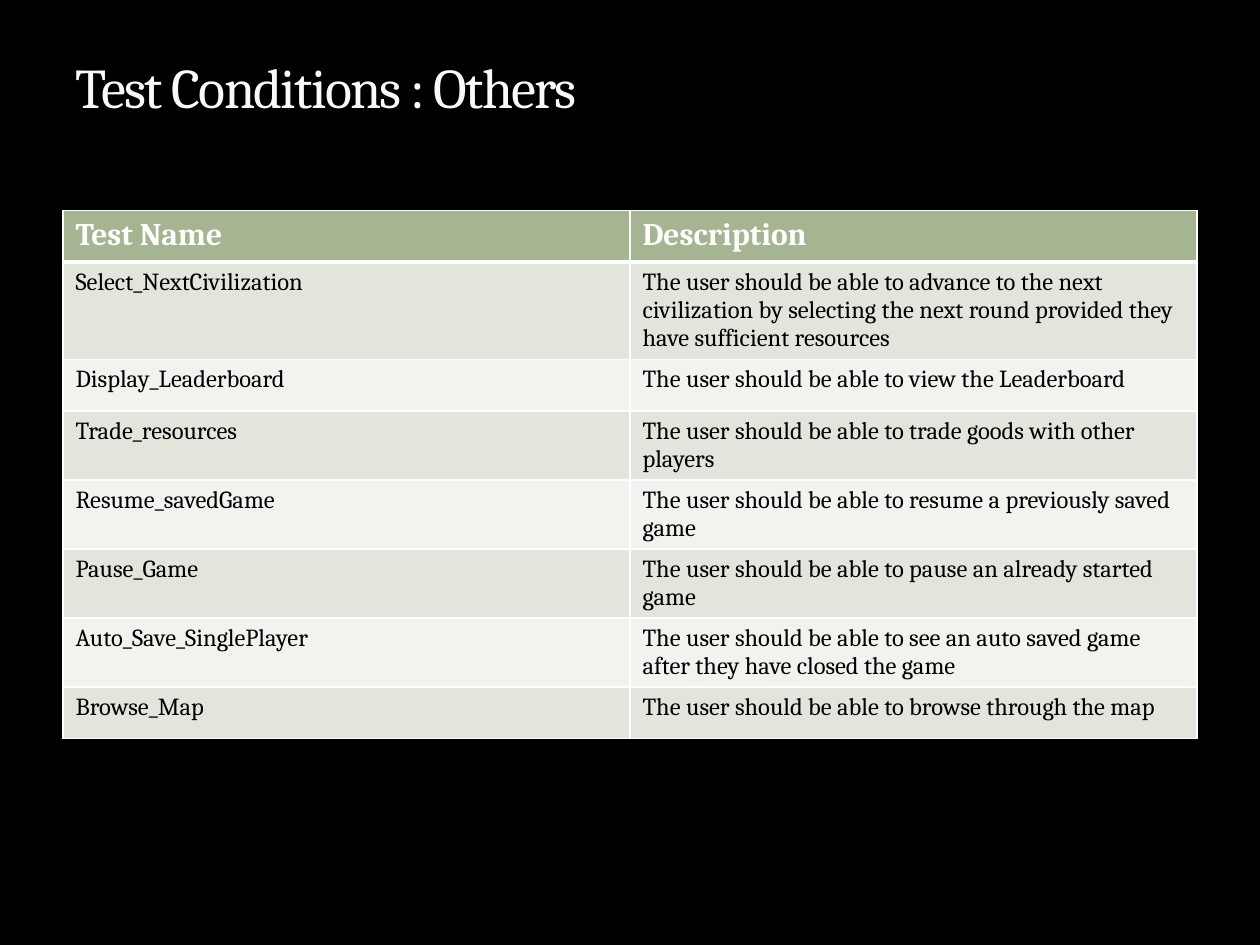
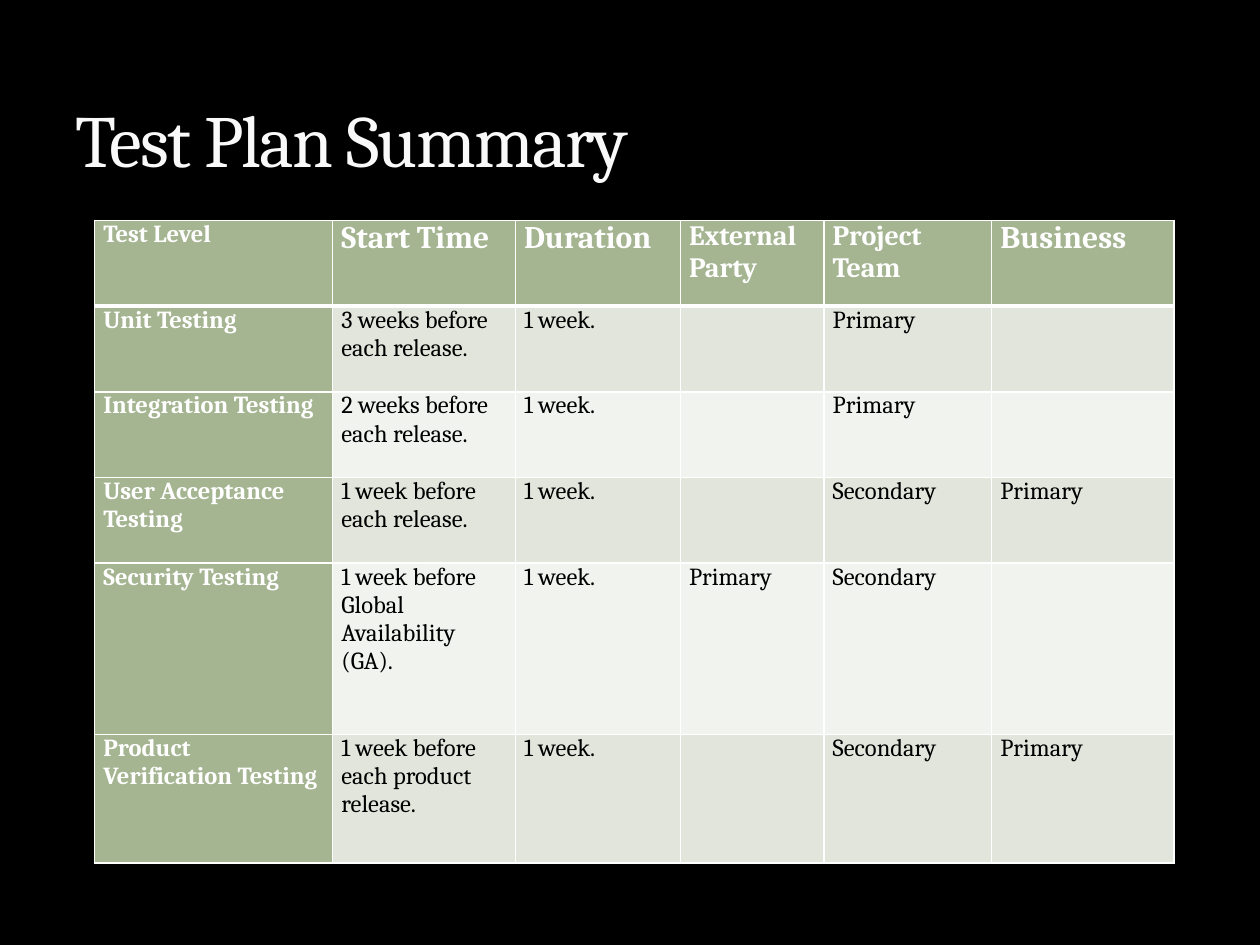
from dataclasses import dataclass

import pptx
import pptx.dml.color
import pptx.enum.text
import pptx.oxml
import pptx.oxml.ns
import pptx.presentation
import pptx.slide
import pptx.table
import pptx.text.text
import pptx.util

Inches = pptx.util.Inches
Pt = pptx.util.Pt
Align = pptx.enum.text.PP_ALIGN


@dataclass(frozen=True)
class Theme:
    font: str = "Cambria"
    background: str = "000000"
    title: str = "F9F9F9"
    header_fill: str = "A5B592"
    header_text: str = "FFFFFF"
    body_text: str = "000000"
    bands: tuple[str, str] = ("E1E5DC", "F0F3EE")
    border: str = "FFFFFF"
    border_pt: float = 1
    header_rule_pt: float = 3
    body_pt: float = 14
    title_tracking: int = -100  # hundredths of a point


THEME = Theme()


@dataclass(frozen=True)
class TableSlide:
    title: str
    title_pt: float
    title_height: float
    left: float
    top: float
    column_widths: list[float]
    row_heights: list[float]
    header_pts: list[float]
    rows: list[list[str]]
    margins: tuple[float, float] = (0.1, 0.05)  # side, top and bottom
    label_column: bool = False
    justified_rows: int = 0  # leading rows whose label is justified


TEST_CONDITIONS = TableSlide(
    title="Test Conditions : Others",
    title_pt=32,
    title_height=0.83,
    left=0.5,
    top=1.67,
    column_widths=[4.5] * 2,
    row_heights=[0.41] * 8,
    header_pts=[18] * 2,
    rows=[
        ["Test Name", "Description"],
        ["Select_NextCivilization",
         "The user should be able to advance to the next civilization by "
         "selecting the next round provided they have sufficient resources"],
        ["Display_Leaderboard", "The user should be able to view the Leaderboard"],
        ["Trade_resources",
         "The user should be able to trade goods with other players"],
        ["Resume_savedGame",
         "The user should be able to resume a previously saved game"],
        ["Pause_Game", "The user should be able to pause an already started game"],
        ["Auto_Save_SinglePlayer",
         "The user should be able to see an auto saved game after they have "
         "closed the game"],
        ["Browse_Map", "The user should be able to browse through the map"],
    ],
)

TEST_PLAN = TableSlide(
    title="Test Plan Summary",
    title_pt=42,
    title_height=1.33,
    left=0.75,
    top=1.75,
    column_widths=[1.89, 1.45, 1.31, 1.14, 1.33, 1.45],
    row_heights=[0.68] * 4 + [1.36, 1.02],
    header_pts=[14, 18, 18, 16, 16, 18],
    rows=[
        ["Test Level", "Start Time", "Duration", "External Party",
         "Project Team", "Business"],
        ["Unit Testing", "3 weeks before each release.", "1 week.", "",
         "Primary", ""],
        ["Integration Testing", "2 weeks before each release.", "1 week.", "",
         "Primary", ""],
        ["User Acceptance Testing", "1 week before each release.", "1 week.", "",
         "Secondary", "Primary"],
        ["Security Testing", "1 week before Global Availability (GA).", "1 week.",
         "Primary", "Secondary", ""],
        ["Product Verification Testing", "1 week before each product release.",
         "1 week.", "", "Secondary", "Primary"],
    ],
    margins=(0.07, 0),
    label_column=True,
    justified_rows=3,
)


def rgb(value: str) -> pptx.dml.color.RGBColor:
    return pptx.dml.color.RGBColor.from_string(value)


def set_font(paragraph: pptx.text.text._Paragraph, size: float, color: str,
             bold: bool = False) -> None:
    font = paragraph.font
    font.name = THEME.font
    font.size = Pt(size)
    font.bold = bold
    font.color.rgb = rgb(color)


def set_borders(cell: pptx.table._Cell, row: int) -> None:
    """Draw the cell's four edges, with the heavy rule between rows 0 and 1."""
    widths = dict.fromkeys(("lnL", "lnR", "lnT", "lnB"), THEME.border_pt)
    if row == 0:
        widths["lnB"] = THEME.header_rule_pt
    elif row == 1:
        widths["lnT"] = THEME.header_rule_pt
    properties = cell._tc.get_or_add_tcPr()
    for edge, width in widths.items():
        properties.append(pptx.oxml.parse_xml(
            f'<a:{edge} {pptx.oxml.ns.nsdecls("a")} w="{Pt(width)}">'
            f'<a:solidFill><a:srgbClr val="{THEME.border}"/></a:solidFill>'
            f'</a:{edge}>'))


def add_title(slide: pptx.slide.Slide, content: TableSlide) -> None:
    title = slide.shapes.title
    title.left, title.top = Inches(0.5), Inches(0.17)
    title.width, title.height = Inches(9), Inches(content.title_height)
    frame = title.text_frame
    frame.text = content.title
    frame.vertical_anchor = pptx.enum.text.MSO_ANCHOR.BOTTOM
    frame.auto_size = pptx.enum.text.MSO_AUTO_SIZE.NONE
    heading = frame.paragraphs[0]
    heading.alignment = Align.LEFT
    set_font(heading, content.title_pt, THEME.title)
    heading.runs[0]._r.get_or_add_rPr().set("spc", str(THEME.title_tracking))


def fill_cell(cell: pptx.table._Cell, content: TableSlide, row: int,
              column: int) -> None:
    is_label = content.label_column and column == 0
    is_heading = row == 0 or is_label
    set_borders(cell, row)
    cell.fill.solid()
    cell.fill.fore_color.rgb = rgb(
        THEME.header_fill if is_heading else THEME.bands[(row - 1) % 2])
    side, vertical = content.margins
    cell.margin_left = cell.margin_right = Inches(side)
    cell.margin_top = cell.margin_bottom = Inches(vertical)
    cell.text = content.rows[row][column]
    paragraph = cell.text_frame.paragraphs[0]
    justified = is_heading and row < content.justified_rows
    paragraph.alignment = Align.JUSTIFY if justified else Align.LEFT
    set_font(paragraph,
             content.header_pts[column] if row == 0 else THEME.body_pt,
             THEME.header_text if is_heading else THEME.body_text,
             bold=is_heading)


def add_test_table(slide: pptx.slide.Slide, content: TableSlide) -> None:
    table = slide.shapes.add_table(
        len(content.rows), len(content.column_widths),
        Inches(content.left), Inches(content.top),
        Inches(sum(content.column_widths)), Inches(sum(content.row_heights))).table
    table.first_col = content.label_column
    for column, width in zip(table.columns, content.column_widths):
        column.width = Inches(width)
    for row, height in zip(table.rows, content.row_heights):
        row.height = Inches(height)
    for row in range(len(content.rows)):
        for column in range(len(content.column_widths)):
            fill_cell(table.cell(row, column), content, row, column)


def add_table_slide(deck: pptx.presentation.Presentation,
                    content: TableSlide) -> None:
    title_only = deck.slide_layouts.get_by_name("Title Only")
    slide = deck.slides.add_slide(title_only)
    add_title(slide, content)
    add_test_table(slide, content)


def main() -> None:
    deck = pptx.Presentation()
    deck.slide_width, deck.slide_height = Inches(10), Inches(7.5)
    backdrop = deck.slide_master.background.fill
    backdrop.solid()
    backdrop.fore_color.rgb = rgb(THEME.background)
    for content in (TEST_CONDITIONS, TEST_PLAN):
        add_table_slide(deck, content)
    deck.save("out.pptx")


if __name__ == "__main__":
    main()
